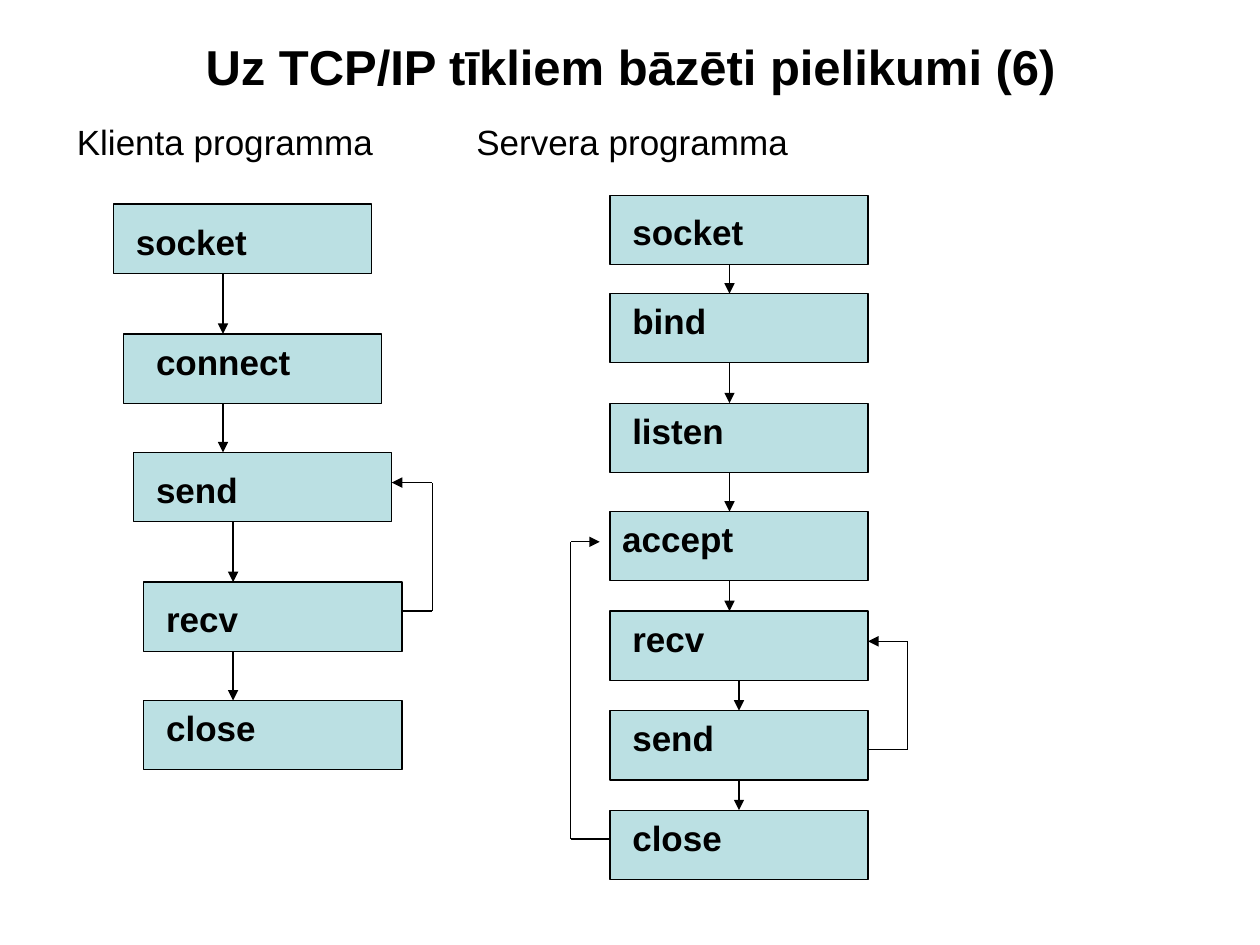
import itertools
from dataclasses import dataclass

import pptx
import pptx.dml.color
import pptx.enum.shapes
import pptx.enum.text
import pptx.oxml
import pptx.oxml.ns
import pptx.util
from pptx.util import Inches


@dataclass(frozen=True)
class Theme:
    """Colours, font and sizes of the slide."""
    ink: str = "000000"
    fill: str = "BBE0E3"
    font: str = "Arial"
    head: int = 28
    text: int = 20
    line: float = 0.75


THEME = Theme()
WIDE, HIGH = 2.05, 0.55
CLIENT = [
    ("socket", 0, 0, 0.08, 0.08, 0.87),
    ("connect", 0.08, 1.03, 0.16, 0, 0.87),
    ("send", 0.16, 1.97, 0.08, 0.08, 0.95),
    ("recv", 0.24, 3.0, 0.08, 0.07, 0.95),
    ("close", 0.24, 3.94, 0.08, 0, None),
]
SERVER = [
    ("socket", 0, 0, 0.08, 0.07, 0.95),
    ("bind", 0, 0.78, 0.08, 0, 0.95),
    ("listen", 0, 1.65, 0.08, 0, 0.95),
    ("accept", 0, 2.51, 0, 0, 0.95),
    ("recv", 0, 3.3, 0.08, 0, 1.03),
    ("send", 0, 4.09, 0.08, 0, 1.03),
    ("close", 0, 4.88, 0.08, 0, None),
]
CLIENT_LOOPS = [[(2.29, 3.23), (2.53, 3.23), (2.53, 2.21), (2.21, 2.21)]]
SERVER_LOOPS = [
    [(0, 5.11), (-0.31, 5.11), (-0.31, 2.75), (-0.08, 2.75)],
    [(2.05, 4.4), (2.36, 4.4), (2.36, 3.54), (2.05, 3.54)],
]


def paint(code):
    """Turn a hex code into a colour."""
    return pptx.dml.color.RGBColor.from_string(code)


def node(parent, tag, **attrs):
    """Append a drawing element to a parent."""
    item = pptx.oxml.parse_xml(f"<{tag} {pptx.oxml.ns.nsdecls('a')}/>")
    for key, val in attrs.items():
        item.set(key, str(val))
    parent.append(item)
    return item


def write(para, text, size, bold):
    """Add one styled run to a paragraph."""
    run = para.add_run()
    run.text = text
    run.font.name = THEME.font
    run.font.size = pptx.util.Pt(size)
    run.font.bold = bold
    run.font.color.rgb = paint(THEME.ink)


def place(shape, left, top, wide, high):
    """Move and size a shape."""
    shape.left, shape.top = Inches(left), Inches(top)
    shape.width, shape.height = Inches(wide), Inches(high)


def title(shape, box):
    """Fill the title placeholder."""
    place(shape, *box)
    frame = shape.text_frame
    frame.auto_size = pptx.enum.text.MSO_AUTO_SIZE.NONE
    frame.vertical_anchor = pptx.enum.text.MSO_ANCHOR.MIDDLE
    para = frame.paragraphs[0]
    para.alignment = pptx.enum.text.PP_ALIGN.CENTER
    write(para, "Uz TCP/IP tīkliem bāzēti pielikumi (6)", THEME.head, True)


def heads(shape, box):
    """Fill the body placeholder with the two column heads."""
    place(shape, *box)
    frame = shape.text_frame
    frame.auto_size = pptx.enum.text.MSO_AUTO_SIZE.NONE
    frame.vertical_anchor = pptx.enum.text.MSO_ANCHOR.TOP
    para = frame.paragraphs[0]
    props = para._p.get_or_add_pPr()
    props.set("marL", str(Inches(0.67)))
    props.set("indent", str(Inches(-0.67)))
    node(props, "a:buNone")
    tabs = node(props, "a:tabLst")
    for stop in range(8):
        node(tabs, "a:tab", pos=Inches(stop), algn="l")
    para.space_before = pptx.util.Pt(0)
    write(para, "Klienta programma\t\tServera programma", THEME.text, False)


def block(slide, left, top):
    """Draw one step's rectangle."""
    kind = pptx.enum.shapes.MSO_SHAPE.RECTANGLE
    rect = slide.shapes.add_shape(
        kind, Inches(left), Inches(top), Inches(WIDE), Inches(HIGH))
    rect.shadow.inherit = False
    rect.fill.solid()
    rect.fill.fore_color.rgb = paint(THEME.fill)
    rect.line.color.rgb = paint(THEME.ink)
    rect.line.width = pptx.util.Pt(THEME.line)
    return rect


def label(slide, text, left, top):
    """Write one step's name."""
    area = slide.shapes.add_textbox(
        Inches(left), Inches(top), Inches(1.97), Inches(0.44))
    frame = area.text_frame
    frame.word_wrap = True
    frame.auto_size = pptx.enum.text.MSO_AUTO_SIZE.SHAPE_TO_FIT_TEXT
    write(frame.paragraphs[0], text, THEME.text, True)


def link(slide, start, end, arrow):
    """Draw a straight line, with an arrowhead if asked."""
    wire = slide.shapes.add_connector(
        pptx.enum.shapes.MSO_CONNECTOR.STRAIGHT,
        *(Inches(val) for val in start + end))
    wire.line.color.rgb = paint(THEME.ink)
    wire.line.width = pptx.util.Pt(THEME.line)
    if arrow:
        node(wire.line._get_or_add_ln(), "a:tailEnd", type="triangle")
    node(wire._element.spPr, "a:effectLst")
    return wire


def column(slide, left, top, steps, loops):
    """Draw a chain of steps and its loops from a corner."""
    rects = [block(slide, left + dx, top + dy)
             for _, dx, dy, *_ in steps]
    for name, dx, dy, inx, iny, _ in steps:
        label(slide, name, left + dx + inx, top + dy + iny)
    pairs = zip(itertools.pairwise(steps), itertools.pairwise(rects))
    for (step, after), (rect, below) in pairs:
        mid = step[5]
        wire = link(slide, (left + mid, top + step[2] + HIGH),
                    (left + mid, top + after[2]), True)
        if abs(mid - step[1] - WIDE / 2) < 0.01:
            wire.begin_connect(rect, 2)
            wire.end_connect(below, 0)
    for loop in loops:
        spots = [(left + dx, top + dy) for dx, dy in loop]
        for start, end in itertools.pairwise(spots):
            link(slide, start, end, end == spots[-1])


def main():
    """Build and save the slide."""
    deck = pptx.Presentation()
    deck.slide_width, deck.slide_height = Inches(10), Inches(7.5)
    slide = deck.slides.add_slide(deck.slide_layouts[1])
    title(slide.shapes.title, (0.2, 0.21, 9.61, 0.63))
    heads(slide.placeholders[1], (0.51, 0.91, 9.13, 5.98))
    column(slide, 0.9, 1.62, CLIENT, CLIENT_LOOPS)
    column(slide, 4.84, 1.55, SERVER, SERVER_LOOPS)
    deck.save("out.pptx")


if __name__ == "__main__":
    main()
